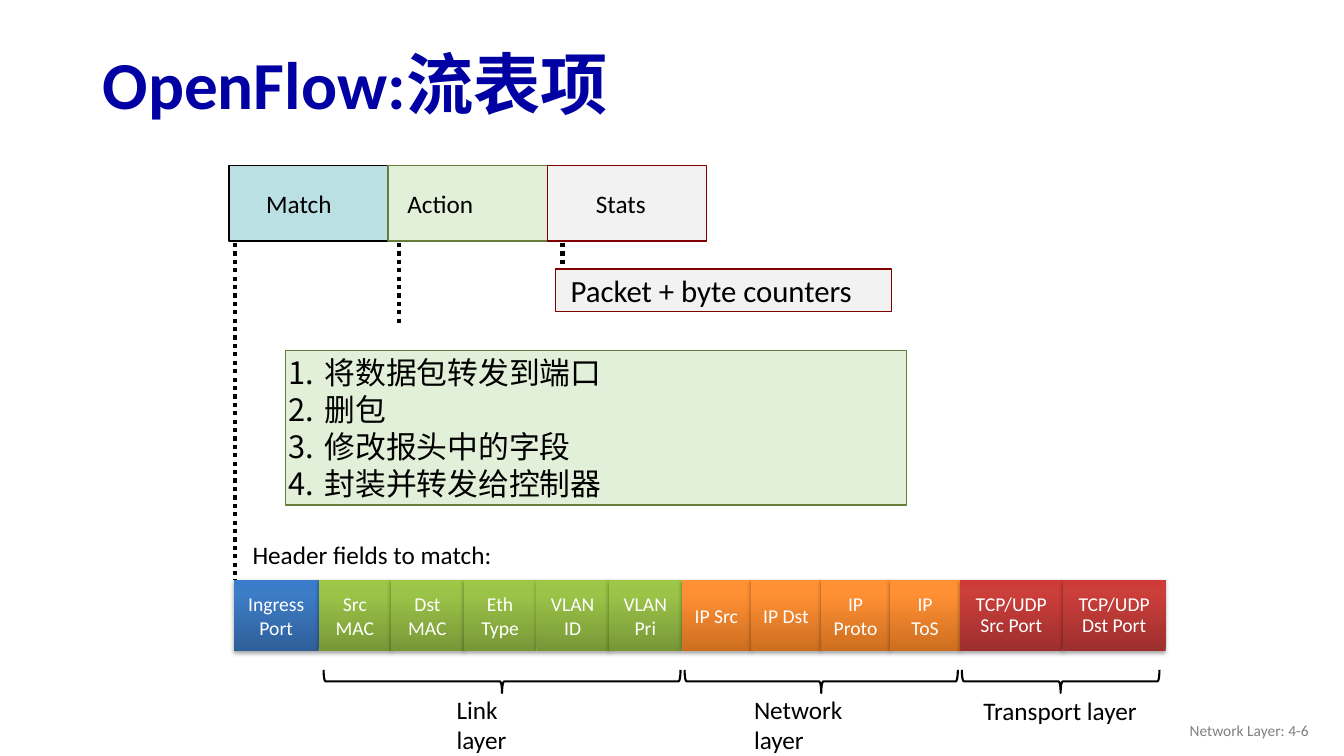
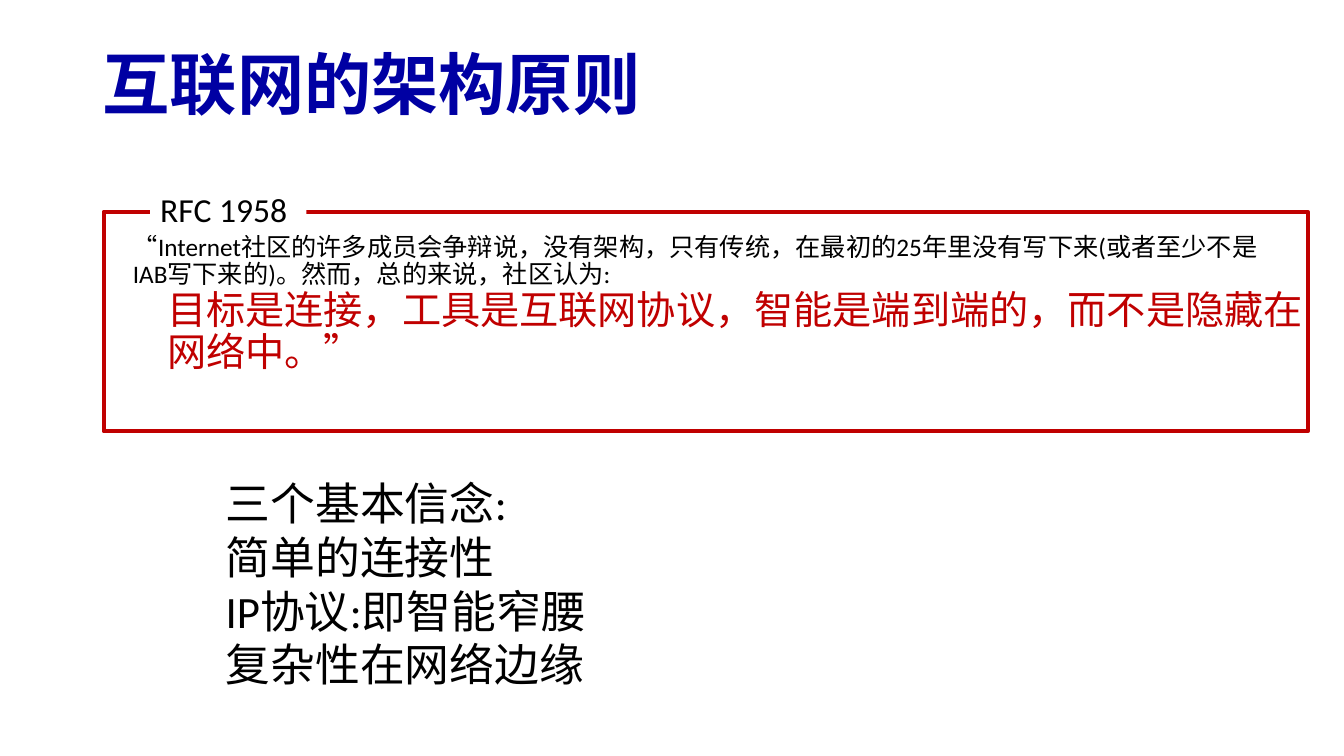
from copy import deepcopy
from dataclasses import dataclass

from lxml import etree
from pptx import Presentation
from pptx import util as u
from pptx.dml.color import RGBColor
from pptx.enum import dml, shapes, text
from pptx.oxml.ns import qn


@dataclass(frozen=True)
class Theme:
    latin: str = "Calibri"
    asian: str = "Noto Sans CJK SC"
    black: str = "000000"
    white: str = "FFFFFF"
    navy: str = "0000A3"
    red: str = "C00000"
    maroon: str = "800000"
    olive: str = "697D3A"
    teal: str = "BBE0E3"
    mint: str = "E2F0D9"
    pale: str = "F2F2F2"
    grey: str = "808080"
    title: int = 48
    belief: int = 32
    quote: int = 28
    tag: int = 24
    item: int = 22
    body: int = 18
    field: int = 14
    footer: int = 11


T = Theme()
PX = 9144
W, H = 1333, 750

ENTRY_TITLE = "OpenFlow:流表项"
FOOTER = "Network Layer: 4-6"
ENTRY_X, ENTRY_Y, ENTRY_W, ENTRY_H = 227, 164, 158, 75
ENTRY_PARTS = [
    ("Match", T.teal, T.black, 264, 66),
    ("Action", T.mint, T.olive, 404, 66),
    ("Stats", T.pale, T.maroon, 591, 50),
]
DOTTED_LINES = [(396, 241, 324), (558, 241, 266), (233, 241, 575)]
COUNTERS = "Packet + byte counters"
ACTIONS = ["将数据包转发到端口", "删包", "修改报头中的字段", "封装并转发给控制器"]
FIELDS_CAPTION = "Header fields to match:"
FIELD_X, FIELD_Y, FIELD_H = 232, 575, 71
FIELD_GROUPS = [
    (84, ("2F5F99", "3D7CC7", "3A7CCB"), None, ["Ingress Port"]),
    (72, ("779737", "9BC348", "9DC746"), None,
     ["Src MAC", "Dst MAC", "Eth Type", "VLAN\nID", "VLAN\nPri"]),
    (69, ("CC6E20", "FF9034", "FF9136"), None,
     ["IP Src", "IP Dst", "IP Proto", "IP\nToS"]),
    (102, ("9C2F2D", "CB3E3A", "CE3B37"), u.Pt(14.8),
     ["TCP/UDP Src Port", "TCP/UDP Dst Port"]),
]
BRACE_MID, BRACE_DEPTH = 676, 23
LAYERS = [
    ("Link layer", 321, 354, (443, 684, 105, 40), "left"),
    ("Network layer", 679, 271, (738, 684, 148, 40), "left"),
    ("Transport layer", 954, 196, (923, 685, 257, 40), "center"),
]

PRINCIPLES_TITLE = "互联网的架构原则"
RFC_TAG = "RFC 1958"
RFC_INTRO = ("“Internet社区的许多成员会争辩说，没有架构，只有传统，在最初的25年里没有写下来"
             "(或者至少不是IAB写下来的)。然而，总的来说，社区认为:")
RFC_GOAL = "目标是连接，工具是互联网协议，智能是端到端的，而不是隐藏在网络中。”"
BELIEFS = ["三个基本信念:", "简单的连接性", "IP协议:即智能窄腰", "复杂性在网络边缘"]

ALIGN = {"left": text.PP_ALIGN.LEFT, "center": text.PP_ALIGN.CENTER,
         "right": text.PP_ALIGN.RIGHT}
MIDDLE, TOP = text.MSO_ANCHOR.MIDDLE, text.MSO_ANCHOR.TOP


def px(*values):
    return [u.Emu(round(v * PX)) for v in values]


def rgb(code):
    return RGBColor.from_string(code)


def number(p):
    pPr = p._p.get_or_add_pPr()
    indent, hang = px(39, -36)
    pPr.set("marL", str(indent))
    pPr.set("indent", str(hang))
    etree.SubElement(pPr, qn("a:buFont"), typeface=T.latin)
    etree.SubElement(pPr, qn("a:buAutoNum"), type="arabicPeriod")


def write(sp, lines, *, size=T.body, color=T.black, bold=False, align="left",
          anchor=TOP, inset=True, wrap=True, spacing=None, numbered=False):
    tf = sp.text_frame
    tf.word_wrap = wrap
    tf.vertical_anchor = anchor
    if not inset:
        tf.margin_left = tf.margin_right = tf.margin_top = tf.margin_bottom = 0
    for i, line in enumerate(lines):
        p = tf.add_paragraph() if i else tf.paragraphs[0]
        p.alignment = ALIGN[align]
        if spacing:
            p.line_spacing = spacing
        if numbered:
            number(p)
        r = p.add_run()
        r.text = line
        r.font.size, r.font.bold, r.font.name = u.Pt(size), bold, T.latin
        r.font.color.rgb = rgb(color)
        etree.SubElement(r.font._element, qn("a:ea"), typeface=T.asian)


def label(s, box, *lines, **style):
    sp = s.shapes.add_textbox(*px(*box))
    write(sp, lines, **style)


def shape(s, box, fill=None, line=None, width=1, kind=shapes.MSO_SHAPE.RECTANGLE):
    sp = s.shapes.add_shape(kind, *px(*box))
    sp.shadow.inherit = False
    if fill:
        sp.fill.solid()
        sp.fill.fore_color.rgb = rgb(fill)
    else:
        sp.fill.background()
    if line:
        sp.line.color.rgb = rgb(line)
        sp.line.width = u.Pt(width)
    else:
        sp.line.fill.background()
    return sp


def dotted(s, x, top, bottom):
    c = s.shapes.add_connector(shapes.MSO_CONNECTOR.STRAIGHT, *px(x, top, x, bottom))
    c.line.color.rgb = rgb(T.black)
    c.line.width = u.Pt(3)
    c.line.dash_style = dml.MSO_LINE.ROUND_DOT
    etree.SubElement(c._element.spPr, qn("a:effectLst"))


def shade(sp, colors):
    sp.fill.gradient()
    sp.fill.gradient_angle = 90
    stops = sp._element.spPr.find(".//" + qn("a:gsLst"))
    stops.append(deepcopy(stops[-1]))
    for stop, position, color in zip(sp.fill.gradient_stops, (0, 0.8, 1), colors):
        stop.position = position
        stop.color.rgb = rgb(color)
    effects = sp._element.spPr.find(qn("a:effectLst"))
    shadow = etree.SubElement(effects, qn("a:outerShdw"), blurRad=str(u.Pt(3.1)),
                              dist=str(u.Pt(1.8)), dir="5400000", rotWithShape="0")
    tint = etree.SubElement(shadow, qn("a:srgbClr"), val=T.black)
    etree.SubElement(tint, qn("a:alpha"), val="35000")


def new_slide(prs, title):
    s = prs.slides.add_slide(prs.slide_layouts[6])
    label(s, (92, 38, 1150, 98), title, size=T.title, color=T.navy, bold=True,
          anchor=MIDDLE, spacing=0.9)
    return s


def flow_entry(prs):
    s = new_slide(prs, ENTRY_TITLE)
    for i, (name, fill, line, x, w) in enumerate(ENTRY_PARTS):
        shape(s, (ENTRY_X + i * ENTRY_W, ENTRY_Y, ENTRY_W, ENTRY_H), fill, line)
        label(s, (x, 187, w, 30), name, anchor=MIDDLE, inset=False, wrap=False)
    for line in DOTTED_LINES:
        dotted(s, *line)

    shape(s, (551, 267, 333, 42), T.pale, T.maroon)
    label(s, (566, 269, 282, 37), COUNTERS, size=T.item, anchor=MIDDLE,
          inset=False, wrap=False)
    actions = shape(s, (283, 348, 616, 153), T.mint, T.olive)
    write(actions, ACTIONS, size=T.item, anchor=MIDDLE, inset=False, numbered=True)

    label(s, (236, 530, 266, 40), FIELDS_CAPTION, align="center")
    x = FIELD_X
    for w, colors, spacing, names in FIELD_GROUPS:
        for name in names:
            sp = shape(s, (x, FIELD_Y, w, FIELD_H))
            shade(sp, colors)
            write(sp, name.split("\n"), size=T.field, color=T.white, align="center",
                  anchor=MIDDLE, spacing=spacing)
            x += w

    for name, left, span, box, align in LAYERS:
        brace = shape(s, (left + (span - BRACE_DEPTH) / 2, BRACE_MID - span / 2,
                          BRACE_DEPTH, span),
                      line=T.black, width=1.5, kind=shapes.MSO_SHAPE.LEFT_BRACE)
        brace.rotation = 270
        label(s, box, name, align=align)
    label(s, (1008, 705, 300, 40), FOOTER, size=T.footer, color=T.grey,
          align="right", anchor=MIDDLE)


def principles(prs):
    s = new_slide(prs, PRINCIPLES_TITLE)
    label(s, (122, 228, 1150, 65), RFC_INTRO, spacing=0.9)
    shape(s, (103, 210, 1194, 218), line=T.red, width=3)
    tag = shape(s, (149, 183, 155, 50), T.white)
    write(tag, [RFC_TAG], size=T.tag, wrap=False)
    label(s, (156, 283, 1150, 95), RFC_GOAL, size=T.quote, color=T.red, spacing=0.9)
    label(s, (214, 467, 993, 226), *BELIEFS, size=T.belief)


def main():
    prs = Presentation()
    prs.slide_width, prs.slide_height = px(W, H)
    flow_entry(prs)
    principles(prs)
    prs.save("out.pptx")


if __name__ == "__main__":
    main()
